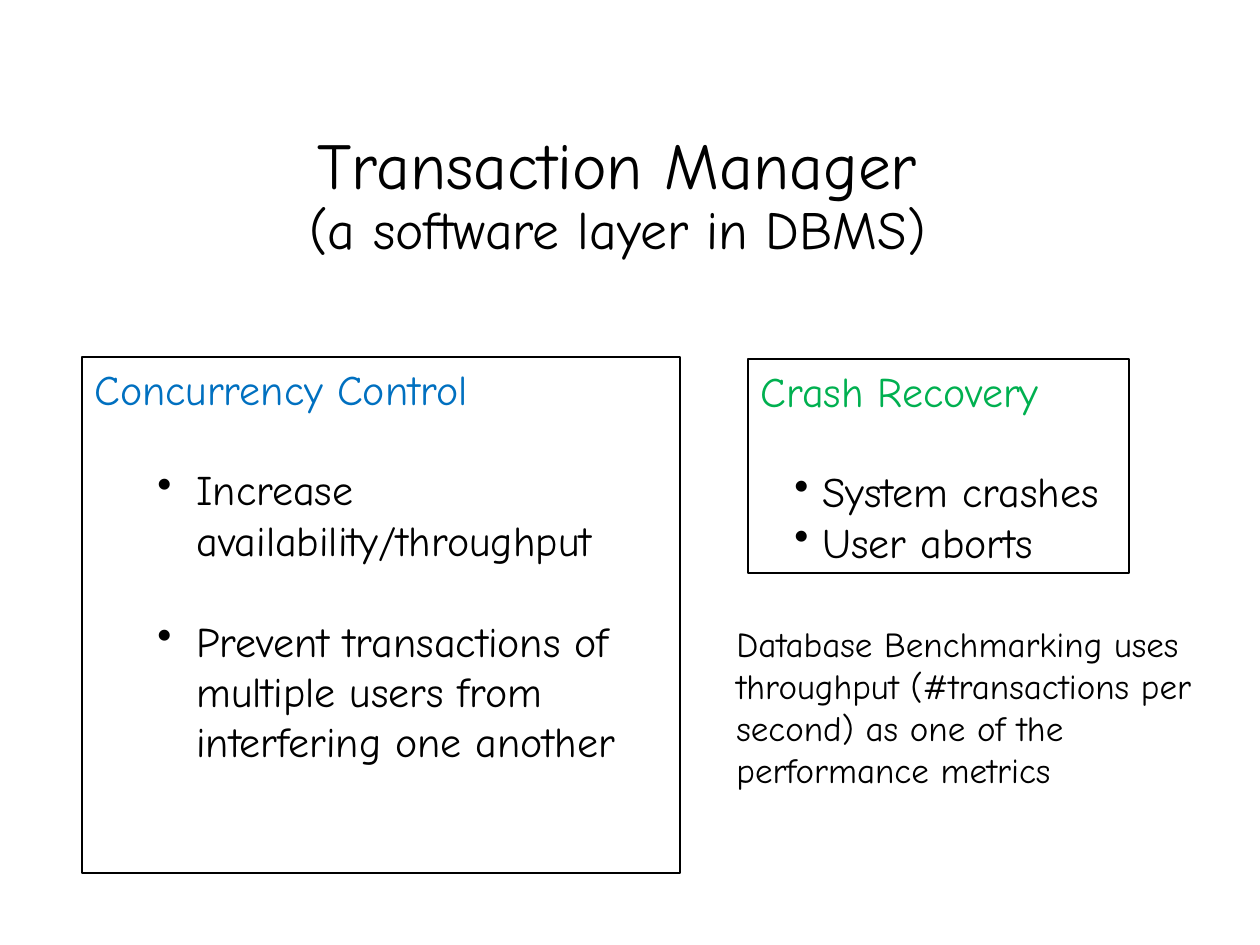
from lxml import etree
from pptx import Presentation
from pptx import util as u
from pptx.dml.color import RGBColor
from pptx.enum import shapes, text
from pptx.oxml.ns import qn

FONT = "Comic Neue"
BLACK, BLUE, GREEN = "000000", "0070C0", "00B050"
BODY_SIZE = 24
BLANK_LINE = 28.8


def px(n):
    return u.Emu(round(n * 914400 / 126))


def rgb(value):
    return RGBColor.from_string(value)


def write(p, content, size, color=BLACK):
    p.text = content
    for r in p.runs:
        r.font.name = FONT
        r.font.size = u.Pt(size)
        r.font.color.rgb = rgb(color)


def set_bullet(p, left, hang):
    pPr = p._p.get_or_add_pPr()
    pPr.set("marL", str(px(left)))
    pPr.set("indent", str(-px(hang)))
    color = etree.SubElement(pPr, qn("a:buClr"))
    etree.SubElement(color, qn("a:srgbClr"), val=BLACK)
    etree.SubElement(pPr, qn("a:buChar"), char="•")


def add_text(s, box, lines, align=text.PP_ALIGN.LEFT,
             anchor=text.MSO_ANCHOR.TOP, spacing=1.0):
    """Add a text box; lines holds (content, size) pairs."""
    tf = s.shapes.add_textbox(*map(px, box)).text_frame
    tf.word_wrap = True
    tf.vertical_anchor = anchor
    for i, (content, size) in enumerate(lines):
        p = tf.add_paragraph() if i else tf.paragraphs[0]
        write(p, content, size)
        p.alignment = align
        p.line_spacing = spacing


def add_panel(s, box, heading, color, items, left, hang, gap=0):
    """Add an outlined box with a heading and bullets; gap is in points."""
    sp = s.shapes.add_shape(shapes.MSO_SHAPE.RECTANGLE, *map(px, box))
    sp.shadow.inherit = False
    sp.fill.background()
    sp.line.color.rgb = rgb(BLACK)
    sp.line.width = u.Pt(0.75)
    tf = sp.text_frame
    tf.word_wrap = True
    tf.vertical_anchor = text.MSO_ANCHOR.TOP
    write(tf.paragraphs[0], heading, BODY_SIZE, color)
    for i, item in enumerate(items):
        p = tf.add_paragraph()
        write(p, item, BODY_SIZE)
        p.space_before = u.Pt(gap if i else BLANK_LINE)
        set_bullet(p, left, hang)
    for p in tf.paragraphs:
        p.alignment = text.PP_ALIGN.LEFT


def main():
    prs = Presentation()
    prs.slide_width, prs.slide_height = px(1260), px(945)
    s = prs.slides.add_slide(prs.slide_layouts[6])

    add_text(s, (82, 118, 1071, 158),
             [("Transaction Manager", 37.4), ("(a software layer in DBMS)", 30.6)],
             text.PP_ALIGN.CENTER, text.MSO_ANCHOR.MIDDLE, 0.9)
    add_panel(s, (82, 357, 598, 516), "Concurrency Control", BLUE,
              ["Increase availability/throughput",
               "Prevent transactions of multiple users from interfering one another"],
              left=102, hang=39, gap=BLANK_LINE)
    add_panel(s, (748, 359, 381, 214), "Crash Recovery", GREEN,
              ["System crashes", "User aborts"], left=62, hang=28)
    add_text(s, (724, 616, 483, 181),
             [("Database Benchmarking uses throughput (#transactions per second) "
               "as one of the performance metrics", 20)])

    prs.save("out.pptx")


if __name__ == "__main__":
    main()
